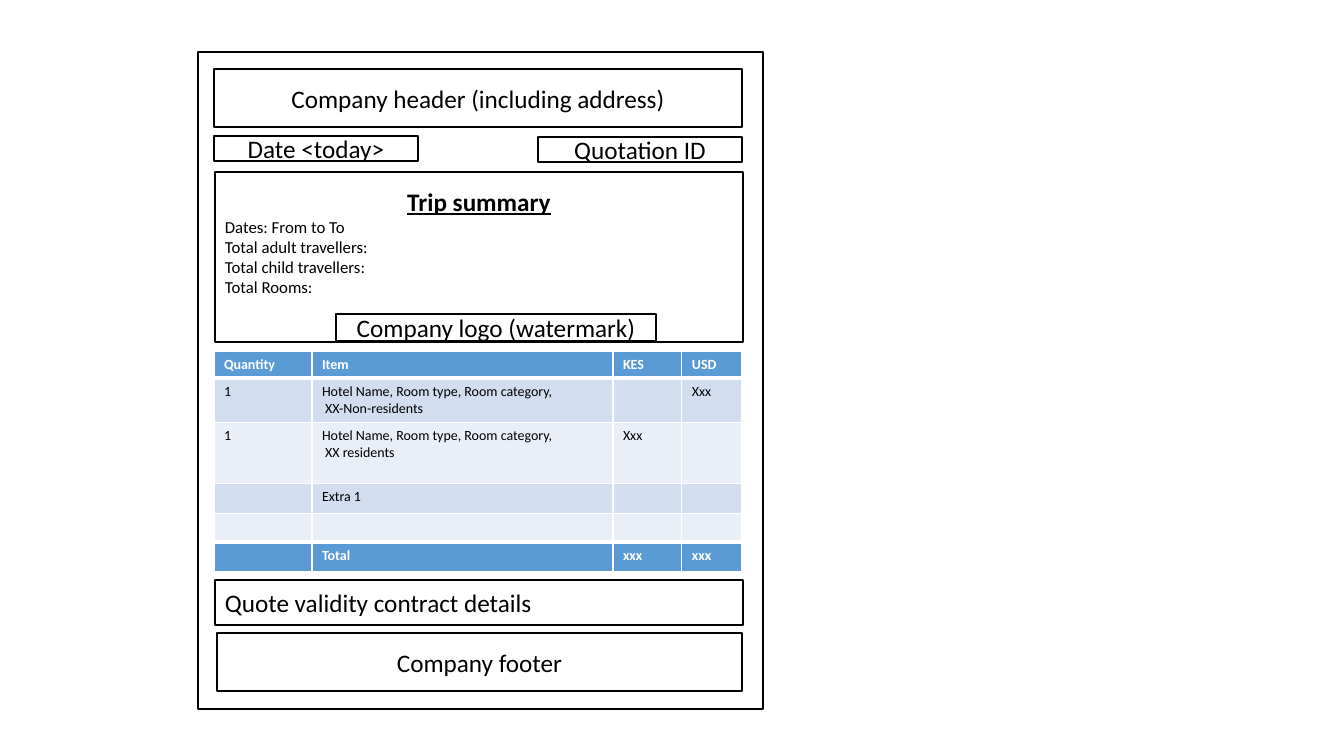
from dataclasses import dataclass

from lxml.etree import SubElement
from pptx import Presentation
from pptx.dml.color import RGBColor
from pptx.enum.shapes import MSO_SHAPE
from pptx.enum.text import MSO_ANCHOR, PP_ALIGN
from pptx.oxml.ns import qn
from pptx.util import Emu, Pt

SCALE = 914400 / 100.8
FONT = "Calibri"
BLACK, WHITE, BLUE = "000000", "FFFFFF", "5B9BD5"
BANDS = ("D2DEEF", "EAEFF7")


@dataclass
class Line:
    text: str
    size: int = 18
    centered: bool = True
    title: bool = False


@dataclass
class Box:
    left: int
    top: int
    width: int
    height: int
    lines: tuple[Line, ...] = ()
    filled: bool = True
    bottom_inset: int = 5


def px(pixels: int) -> Emu:
    return Emu(round(pixels * SCALE))


def color(value: str) -> RGBColor:
    return RGBColor.from_string(value)


def style_font(font, size: int, hue: str, bold: bool) -> None:
    font.name = FONT
    font.size = Pt(size)
    font.bold = bold
    font.color.rgb = color(hue)


def draw_box(page, box: Box) -> None:
    shape = page.shapes.add_shape(
        MSO_SHAPE.RECTANGLE, px(box.left), px(box.top), px(box.width), px(box.height))
    shape.shadow.inherit = False
    shape.line.color.rgb = color(BLACK)
    shape.line.width = Pt(1)
    if box.filled:
        shape.fill.solid()
        shape.fill.fore_color.rgb = color(WHITE)
    else:
        shape.fill.background()
    frame = shape.text_frame
    frame.word_wrap = True
    frame.vertical_anchor = MSO_ANCHOR.MIDDLE
    frame.margin_bottom = px(box.bottom_inset)
    frame.text = "\n".join(line.text for line in box.lines)
    for para, line in zip(frame.paragraphs, box.lines):
        para.alignment = PP_ALIGN.CENTER if line.centered else PP_ALIGN.LEFT
        for span in para.runs:
            style_font(span.font, line.size, BLACK, line.title)
            span.font.underline = line.title


def draw_borders(cell, top: int, bottom: int) -> None:
    properties = cell._tc.get_or_add_tcPr()
    for side, points in (("L", 1), ("R", 1), ("T", top), ("B", bottom)):
        edge = SubElement(properties, qn(f"a:ln{side}"), w=str(Pt(points)))
        SubElement(SubElement(edge, qn("a:solidFill")), qn("a:srgbClr"), val=WHITE)


def draw_cell(cell, text: str, fill: str, strong: bool, top: int, bottom: int) -> None:
    draw_borders(cell, top, bottom)
    cell.fill.solid()
    cell.fill.fore_color.rgb = color(fill)
    para = cell.text_frame.paragraphs[0]
    if text:
        para.text = text
        for span in para.runs:
            style_font(span.font, 10, WHITE if strong else BLACK, strong)
    else:
        # Keeps an empty cell from growing its row
        SubElement(para._p, qn("a:endParaRPr"), sz="1000")


def draw_table(page, left: int, top: int, widths: list[int], heights: list[int],
               rows: list[tuple[str, ...]]) -> None:
    table = page.shapes.add_table(len(rows), len(widths), px(left), px(top),
                                  px(sum(widths)), px(sum(heights))).table
    for column, width in zip(table.columns, widths):
        column.width = px(width)
    last = len(rows) - 1
    for r, (height, texts) in enumerate(zip(heights, rows)):
        table.rows[r].height = px(height)
        strong = r in (0, last)
        fill = BLUE if strong else BANDS[(r - 1) % 2]
        # Thick rules below the heading and above the total
        above = 3 if r in (1, last) else 1
        below = 3 if r in (0, last - 1) else 1
        for c, text in enumerate(texts):
            draw_cell(table.cell(r, c), text, fill, strong, above, below)


SHEET = Box(198, 52, 565, 657)
HEADER = Box(214, 69, 528, 58, (Line("Company header (including address)"),))
TRIP = Box(215, 172, 528, 170, (
    Line("Trip summary", title=True),
    *(Line(text, 12, centered=False) for text in (
        "Dates: From to To", "Total adult travellers:",
        "Total child travellers:", "Total Rooms:")),
), bottom_inset=36)
FOOTER = Box(217, 633, 525, 58, (Line("Company footer"),))
LOGO = Box(336, 314, 320, 27, (Line("Company logo (watermark)"),), filled=False)
QUOTATION = Box(538, 137, 204, 25, (Line("Quotation ID"),))
DATE = Box(214, 136, 204, 25, (Line("Date <today>"),))
VALIDITY = Box(215, 580, 528, 45,
               (Line("Quote validity contract details", centered=False),))

QUOTE_ROWS = [
    ("Quantity", "Item", "KES", "USD"),
    ("1", "Hotel Name, Room type, Room category,\n XX-Non-residents", "", "Xxx"),
    ("1", "Hotel Name, Room type, Room category,\n XX residents", "Xxx", ""),
    ("", "Extra 1", "", ""),
    ("", "", "", ""),
    ("", "Total", "xxx", "xxx"),
]

deck = Presentation()
deck.slide_width, deck.slide_height = px(1344), px(756)
page = deck.slides.add_slide(deck.slide_layouts[6])

# Quotation sheet with its heading and summary
for box in (SHEET, HEADER, TRIP):
    draw_box(page, box)

# Priced items
draw_table(page, 214, 351, [98, 301, 69, 60], [27, 44, 61, 30, 29, 29], QUOTE_ROWS)

# Remaining labelled areas
for box in (FOOTER, LOGO, QUOTATION, DATE, VALIDITY):
    draw_box(page, box)

deck.save("out.pptx")
